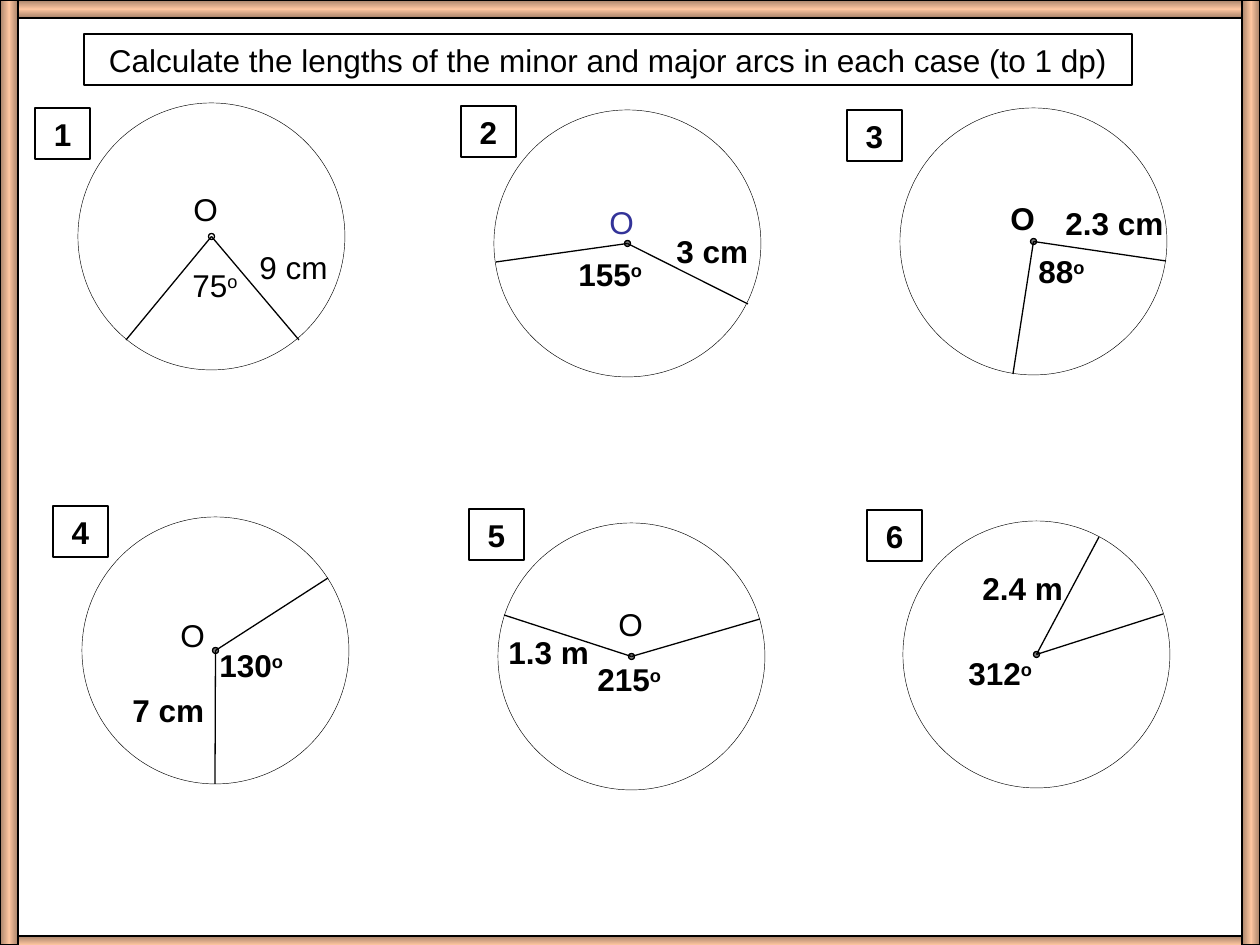
"""Build a worksheet slide of six circles whose arc lengths are to be found."""
from copy import deepcopy
from lxml import etree
from pptx import Presentation, util as u
from pptx.dml.color import RGBColor
from pptx.enum import shapes, text
from pptx.oxml.ns import qn

PX = u.Inches(1) / 126
DIAMETER, DOT = 267, 6
BLACK = "000000"


def shape(kind, x, y, w, h, weight=0.75):
    sp = s.shapes.add_shape(kind, *[round(v * PX) for v in (x, y, w, h)])
    sp.shadow.inherit = False
    sp.fill.background()
    sp.line.color.rgb = RGBColor.from_string(BLACK)
    sp.line.width = u.Pt(weight)
    return sp


def write(sp, words, bold=False, color=BLACK, raised="", align=text.PP_ALIGN.LEFT):
    tf = sp.text_frame
    tf.word_wrap = True
    tf.auto_size = text.MSO_AUTO_SIZE.SHAPE_TO_FIT_TEXT
    p = tf.paragraphs[0]
    p.text = words
    p.alignment = align
    if raised:
        r = p.add_run()
        r.text = raised
        r.font._element.set("baseline", "30000")
    for r in p.runs:
        r.font.name = "Arial"
        r.font.size = u.Pt(18)
        r.font.bold = bold
        r.font.color.rgb = RGBColor.from_string(color)


prs = Presentation()
prs.slide_width, prs.slide_height = u.Inches(10), u.Inches(7.5)
s = prs.slides.add_slide(prs.slide_layouts[6])
RECT, OVAL = shapes.MSO_SHAPE.RECTANGLE, shapes.MSO_SHAPE.OVAL

title = shape(RECT, 84, 34, 1048, 51)
title.fill.solid()
title.fill.fore_color.rgb = RGBColor.from_string("FFFFFF")
write(title, "Calculate the lengths of the minor and major arcs in each case (to 1 dp)",
      align=text.PP_ALIGN.CENTER)

circles = [
    ((78, 103), [(126, 340), (299, 340)], (35, 108)),
    ((494, 110), [(748, 304), (496, 262)], (461, 106)),
    ((900, 108), [(1013, 374), (1166, 261)], (847, 110)),
    ((82, 517), [(215, 784), (328, 578)], (53, 506)),
    ((498, 523), [(504, 615), (760, 619)], (469, 509)),
    ((903, 521), [(1099, 537), (1163, 614)], (867, 510)),
]
for number, ((x, y), ends, tag) in enumerate(circles, 1):
    cx, cy = x + DIAMETER / 2, y + DIAMETER / 2
    shape(OVAL, x, y, DIAMETER, DIAMETER, 0.25)
    dot = shape(OVAL, cx - DOT / 2, cy - DOT / 2, DOT, DOT)
    if number > 1:
        dot.fill.solid()
        dot.fill.fore_color.rgb = RGBColor.from_string(BLACK)
        clr = dot.fill._xPr.find(qn("a:solidFill"))[0]
        etree.SubElement(clr, qn("a:alpha")).set("val", "50000")
    for end in ends:
        radius = s.shapes.add_connector(
            shapes.MSO_CONNECTOR.STRAIGHT, *[round(v * PX) for v in (cx, cy, *end)])
        radius.line.color.rgb = RGBColor.from_string(BLACK)
        radius.line.width = u.Pt(0.75)
        etree.SubElement(radius._element.spPr, qn("a:effectLst"))
    write(shape(RECT, *tag, 55, 51), str(number), True, align=text.PP_ALIGN.CENTER)

labels = [
    ("75", 180, 260, 107, False, BLACK, "o"),
    ("9 cm", 247, 242, 107, False, BLACK, ""),
    ("O", 181, 184, 87, False, BLACK, ""),
    ("155", 566, 249, 107, True, BLACK, "o"),
    ("3 cm", 664, 226, 107, True, BLACK, ""),
    ("O", 597, 197, 87, False, "333399", ""),
    ("88", 1026, 246, 107, True, BLACK, "o"),
    ("2.3 cm", 1053, 198, 131, True, BLACK, ""),
    ("O", 998, 193, 87, True, BLACK, ""),
    ("130", 207, 640, 107, True, BLACK, "o"),
    ("7 cm", 120, 685, 107, True, BLACK, ""),
    ("O", 168, 610, 87, False, BLACK, ""),
    ("215", 585, 654, 107, True, BLACK, "o"),
    ("1.3 m", 496, 627, 131, True, BLACK, ""),
    ("O", 606, 599, 87, False, BLACK, ""),
    ("312", 956, 648, 107, True, BLACK, "o"),
    ("2.4 m", 970, 563, 126, True, BLACK, ""),
]
for words, x, y, w, bold, color, raised in labels:
    tb = s.shapes.add_textbox(*[round(v * PX) for v in (x, y, w, 51)])
    write(tb, words, bold, color, raised)

frame = [(0, 0, 1260, 18, 90), (0, 936, 1260, 18, 90),
         (0, 0, 18, 945, 0), (1242, 0, 18, 945, 0)]
for x, y, w, h, angle in frame:
    bar = shape(RECT, x, y, w, h)
    bar.fill.gradient()
    bar.fill.gradient_angle = angle
    first = bar.fill.gradient_stops[0]._gs
    first.addnext(deepcopy(first))
    for stop, pos, color in zip(bar.fill.gradient_stops, (0, 0.5, 1),
                                ("A78269", "FEC6A0", "A78269")):
        stop.position = pos
        stop.color.rgb = RGBColor.from_string(color)

prs.save("out.pptx")
